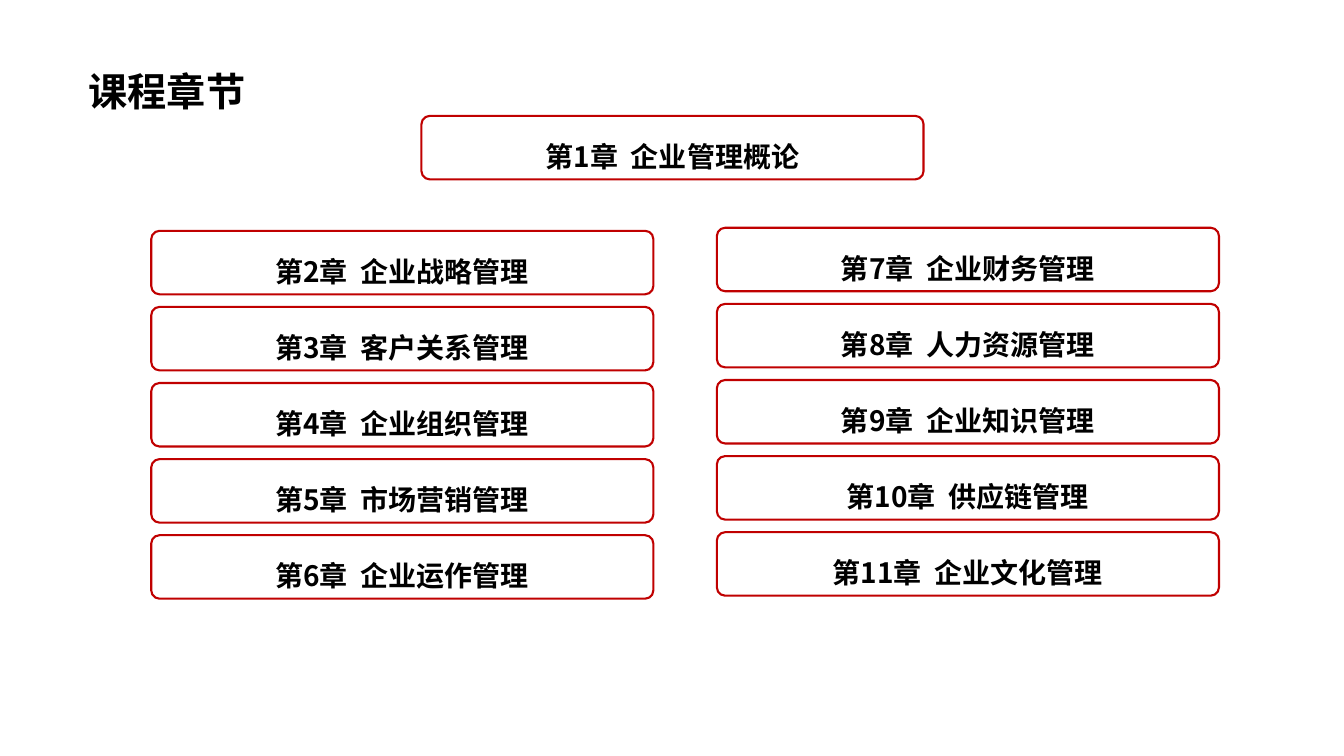
from pptx import Presentation
from pptx.dml.color import RGBColor
from pptx.enum.shapes import MSO_SHAPE
from pptx.enum.text import MSO_ANCHOR, MSO_AUTO_SIZE, PP_ALIGN
from pptx.util import Inches, Pt

ROUNDED = MSO_SHAPE.ROUNDED_RECTANGLE
MIDDLE = MSO_ANCHOR.MIDDLE
NO_FIT = MSO_AUTO_SIZE.NONE
CENTER, JUSTIFY = PP_ALIGN.CENTER, PP_ALIGN.JUSTIFY

TITLE = "课程章节"
# left, top, chapters stacked downwards
COLUMNS = [
    (4.18, 1.15, ["第1章  企业管理概论"]),
    (1.5, 2.29, ["第2章  企业战略管理", "第3章  客户关系管理", "第4章  企业组织管理",
                 "第5章  市场营销管理", "第6章  企业运作管理"]),
    (7.11, 2.26, ["第7章  企业财务管理", "第8章  人力资源管理", "第9章  企业知识管理",
                  "第10章  供应链管理", "第11章  企业文化管理"]),
]
BOX_W, BOX_H, PITCH = 4.98, 0.63, 0.755
CORNER = 0.13
INSET = 0.03
FONT = "Noto Sans CJK SC"
BLACK, RED = "000000", "C00000"


def color(value):
    return RGBColor.from_string(value)


def write(shape, text, size, align):
    tf = shape.text_frame
    for name, value in {"word_wrap": True, "auto_size": NO_FIT,
                        "vertical_anchor": MIDDLE}.items():
        setattr(tf, name, value)
    p = tf.paragraphs[0]
    p.alignment = align
    r = p.add_run()
    r.text = text
    for name, value in {"name": FONT, "size": Pt(size), "bold": True}.items():
        setattr(r.font, name, value)
    r.font.color.rgb = color(BLACK)
    return p


def add_chapter(s, left, top, text):
    box = s.shapes.add_shape(ROUNDED, Inches(left), Inches(top),
                             Inches(BOX_W), Inches(BOX_H))
    box.adjustments[0] = CORNER
    box.shadow.inherit = False
    box.fill.background()
    box.line.color.rgb = color(RED)
    box.line.width = Pt(1.5)
    for side in ("left", "top", "right", "bottom"):
        setattr(box.text_frame, f"margin_{side}", Inches(INSET))
    write(box, text, 20, CENTER).line_spacing = 1.5


prs = Presentation()
prs.slide_width, prs.slide_height = Inches(13.33), Inches(7.5)
s = prs.slides.add_slide(prs.slide_layouts[5])

title = s.shapes.title
for name, value in {"left": 0.78, "top": 0.48, "width": 2.35, "height": 0.85}.items():
    setattr(title, name, Inches(value))
write(title, TITLE, 28, JUSTIFY)

for left, top, chapters in COLUMNS:
    for row, chapter in enumerate(chapters):
        add_chapter(s, left, top + row * PITCH, chapter)

prs.save("out.pptx")
